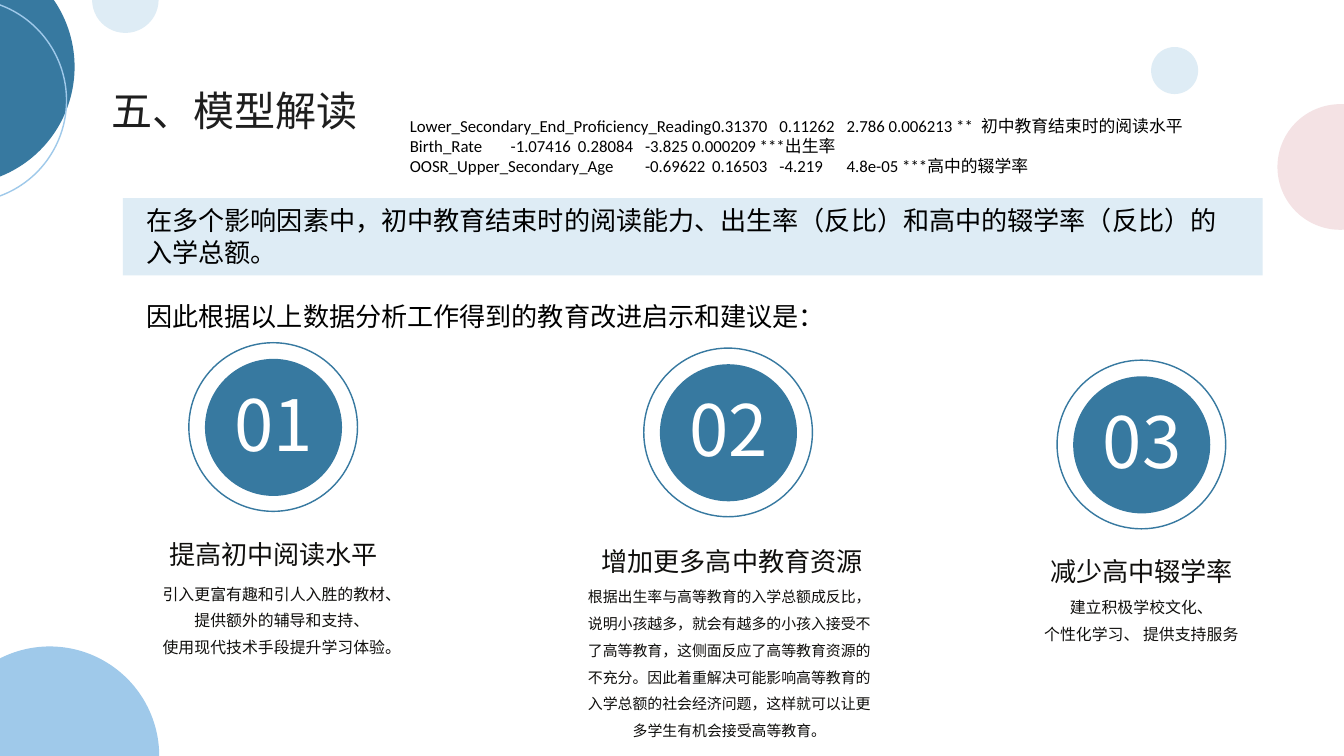
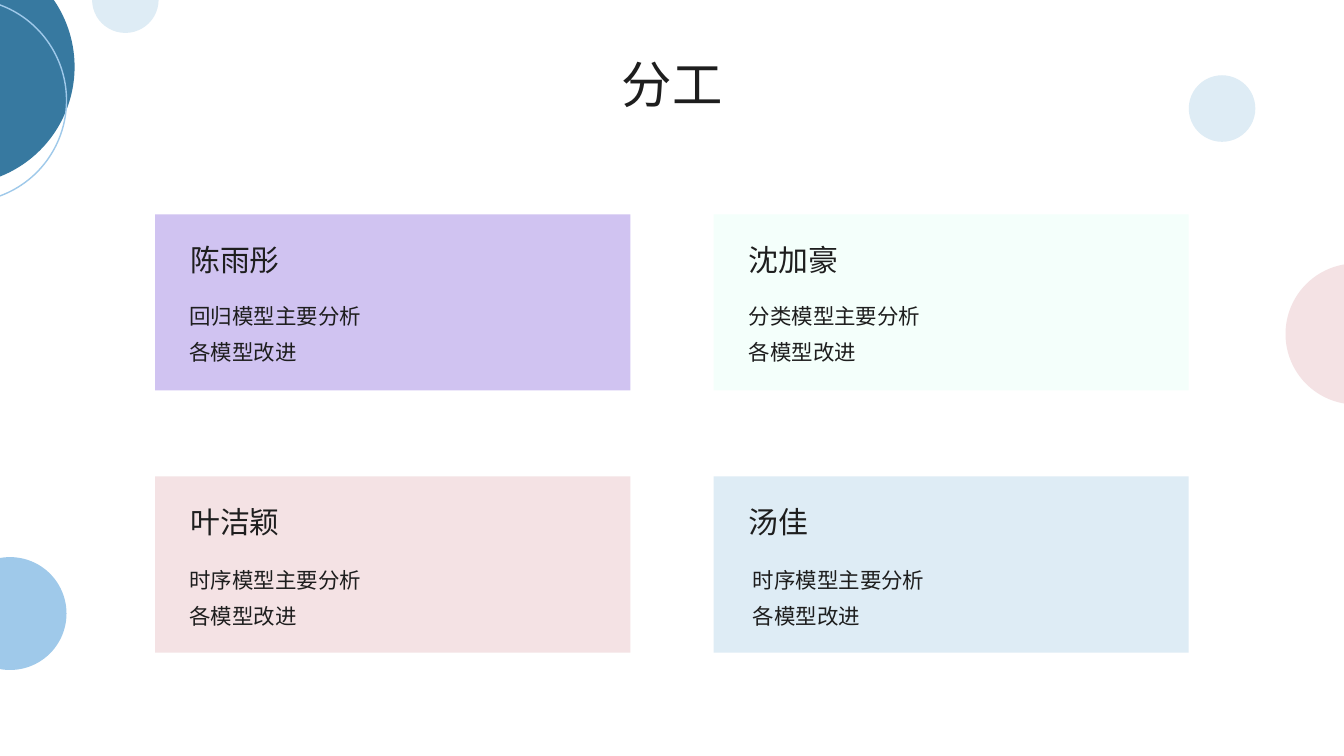
from dataclasses import dataclass
from lxml.etree import SubElement
from pptx import Presentation
from pptx.dml.color import RGBColor
from pptx.enum.shapes import MSO_SHAPE
from pptx.enum.text import MSO_ANCHOR, MSO_AUTO_SIZE, PP_ALIGN
from pptx.oxml.ns import qn
from pptx.util import Pt


@dataclass(frozen=True)
class Theme:
    blue: str = "3779A0"
    sky: str = "9FC9EA"
    pale: str = "DEECF5"
    pink: str = "F4E2E4"
    lilac: str = "D0C3F1"
    mint: str = "F4FFFB"
    white: str = "FFFFFF"
    black: str = "000000"
    ink: str = "1E1E1E"
    dark: str = "100F0D"
    latin: str = "Calibri"
    asian: str = "Noto Sans CJK SC"
    title: float = 44
    cover: float = 54
    digit: float = 75.8
    name: float = 32
    lead: float = 28
    task: float = 23
    stat: float = 18
    note: float = 17
    small: float = 16
    edge: float = 1.5


look = Theme()
PX = 9144
LEFT, MID, JUST = PP_ALIGN.LEFT, PP_ALIGN.CENTER, PP_ALIGN.JUSTIFY


def draw(page, kind, place, fill=None, line=None):
    shape = page.shapes.add_shape(kind, *[n * PX for n in place])
    shape.shadow.inherit = False
    if fill:
        shape.fill.solid()
        shape.fill.fore_color.rgb = RGBColor.from_string(fill)
    else:
        shape.fill.background()
    if line:
        shape.line.color.rgb = RGBColor.from_string(line)
        shape.line.width = Pt(look.edge)
    else:
        shape.line.fill.background()


def write(page, place, text, size, color, pitch, align=LEFT, face=look.latin,
          inset=(0, 0), holder=None, gap=0, stops=()):
    left, top, width, height = [n * PX for n in place]
    if holder is None:
        box = page.shapes.add_textbox(left, top, width, height)
    else:
        box = holder
        box.left, box.top, box.width, box.height = left, top, width, height
        page.shapes.element.append(box.element)
    frame = box.text_frame
    frame.text = text
    frame.word_wrap = True
    frame.auto_size = MSO_AUTO_SIZE.NONE
    frame.vertical_anchor = MSO_ANCHOR.TOP
    frame.margin_left = frame.margin_right = inset[0] * PX
    frame.margin_top = frame.margin_bottom = inset[1] * PX
    for i, para in enumerate(frame.paragraphs):
        props = para._p.get_or_add_pPr()
        props.set("marL", "0")
        props.set("indent", "0")
        SubElement(props, qn("a:buNone"))
        if stops:
            tabs = SubElement(props, qn("a:tabLst"))
            for stop in stops[i]:
                SubElement(tabs, qn("a:tab"), pos=str(stop * PX), algn="l")
        para.alignment = align
        para.line_spacing = Pt(pitch)
        para.space_before = Pt(gap if i else 0)
        para.space_after = Pt(0)
        for run in para.runs:
            run.font.size = Pt(size)
            run.font.bold = False
            run.font.name = face
            run.font.color.rgb = RGBColor.from_string(color)
            SubElement(run._r.get_or_add_rPr(), qn("a:ea"), typeface=look.asian)


deck = Presentation()
deck.slide_width = 2000 * PX
deck.slide_height = 1125 * PX
advice = deck.slides.add_slide(deck.slide_layouts[1])
team = deck.slides.add_slide(deck.slide_layouts[4])

discs = [
    (advice, [(1901, 155, 187, look.pink), (1713, 70, 70, look.pale),
              (-89, 962, 326, look.sky)]),
    (team, [(1769, 112, 99, look.pale), (1913, 392, 210, look.pink),
            (-69, 829, 168, look.sky)]),
]
for page, extra in discs:
    draw(page, MSO_SHAPE.OVAL, (-240, -76, 351, 351), look.blue)
    draw(page, MSO_SHAPE.OVAL, (-204, -2, 303, 303), line=look.sky)
    for x, y, wide, fill in [(137, -50, 99, look.pale)] + extra:
        draw(page, MSO_SHAPE.OVAL, (x, y, wide, wide), fill)

write(advice, (166, 88, 1640, 111), "五、模型解读", look.title, look.ink, 80.5,
      holder=advice.shapes.title)
draw(advice, MSO_SHAPE.RECTANGLE, (183, 295, 1696, 115), look.pale)
claim = (
    "在多个影响因素中，初中教育结束时的阅读能力、出生率（反比）和高中的辍学率（反比）的入学总额。\n"
    "因此根据以上数据分析工作得到的教育改进启示和建议是："
)
write(advice, (208, 298, 1648, 203), claim, look.lead, look.black, 34.2,
      face=look.asian, inset=(10, 5), holder=advice.placeholders[1], gap=34.2)

stats = (
    "Lower_Secondary_End_Proficiency_Reading\t0.31370\t0.11262\t2.786 0.006213 **\t初中教育结束时的阅读水平\n"
    "Birth_Rate\t-1.07416\t0.28084\t-3.825 0.000209 ***出生率\n"
    "OOSR_Upper_Secondary_Age\t-0.69622\t0.16503\t-4.219\t4.8e-05 ***高中的辍学率"
)
write(advice, (600, 167, 1292, 101), stats, look.stat, look.black, 21.5,
      inset=(10, 5),
      stops=[(460, 564, 664, 865), (277, 388, 483), (393, 506, 600, 674)])

steps = [
    (281, 510, "提高初中阅读水平", (226, 787, 362), (208, 858, 120), look.note,
     "引入更富有趣和引人入胜的教材、\n提供额外的辅导和支持、\n使用现代技术手段提升学习体验。"),
    (958, 518, "增加更多高中教育资源", (883, 797, 413), (874, 862, 240), look.small,
     "根据出生率与高等教育的入学总额成反比，说明小孩越多，就会有越多的小孩入接受不了高等教育，"
     "这侧面反应了高等教育资源的不充分。因此着重解决可能影响高等教育的入学总额的社会经济问题，"
     "这样就可以让更多学生有机会接受高等教育。"),
    (1573, 536, "减少高中辍学率", (1518, 813, 362), (1487, 878, 80), look.note,
     "建立积极学校文化、\n个性化学习、 提供支持服务"),
]
for num, (x, y, head, spot, area, size, note) in enumerate(steps, 1):
    draw(advice, MSO_SHAPE.OVAL, (x, y, 251, 251), line=look.blue)
    draw(advice, MSO_SHAPE.OVAL, (x + 24, y + 24, 204, 204), look.blue)
    write(advice, (x + 36, y + 56, 181, 126), f"{num:02}", look.digit,
          look.white, 91, MID, look.asian)
    write(advice, (area[0], area[1], 423, area[2]), note, size, look.dark, 28.6, MID)
    write(advice, (*spot, 61), head, look.lead, look.dark, 43.7, MID)

write(team, (650, 79, 700, 91), "分工", look.cover, look.ink, 64.8, MID,
      holder=team.shapes.title)
cards = [
    ("陈雨彤", "回归模型主要分析", look.lilac, 51, 116),
    ("沈加豪", "分类模型主要分析", look.mint, 52, 116),
    ("叶洁颖", "时序模型主要分析", look.pink, 51, 120),
    ("汤佳", "时序模型主要分析", look.pale, 58, 120),
]
for i, (name, task, fill, shift, drop) in enumerate(cards):
    x = 231 + i % 2 * 831
    y = 319 + i // 2 * 390
    draw(team, MSO_SHAPE.RECTANGLE, (x, y, 707, 262), fill)
    write(team, (x + 52, y + 25, 289, 63), name, look.name, look.ink, 49.9)
    write(team, (x + shift, y + drop, 600, 102), task + "\n各模型改进", look.task,
          look.ink, 38.6, JUST, holder=team.placeholders[i + 1])

deck.save("out.pptx")
